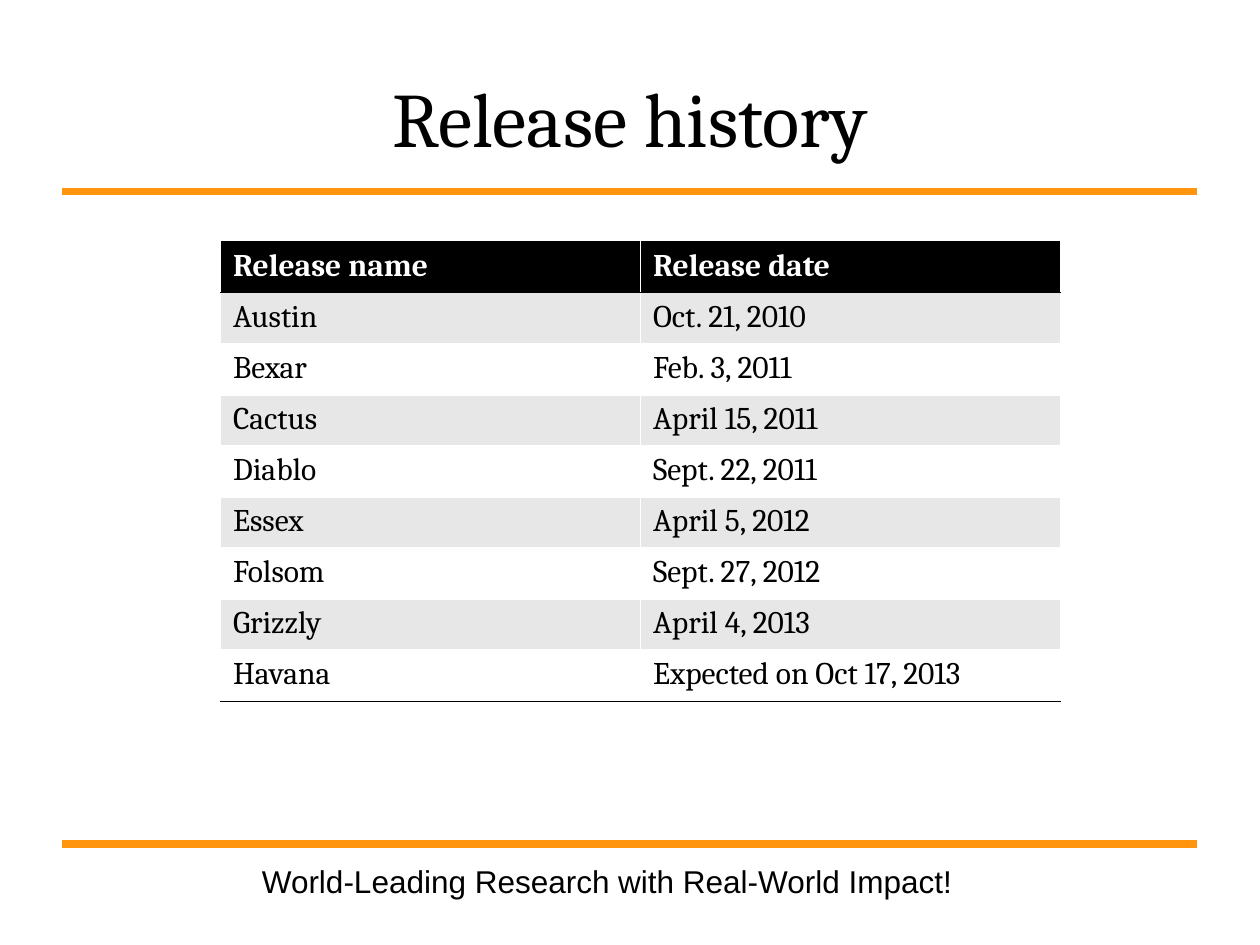
from dataclasses import dataclass

from lxml.etree import SubElement
from pptx import Presentation
from pptx.dml.color import RGBColor
from pptx.enum.shapes import MSO_CONNECTOR
from pptx.enum.text import MSO_ANCHOR, PP_ALIGN
from pptx.oxml import parse_xml
from pptx.oxml.ns import nsdecls, qn
from pptx.util import Pt

BLACK, WHITE, GREY, ORANGE = "000000", "FFFFFF", "E7E7E7", "FF950E"


@dataclass
class Release:
    name: str
    date: str


@dataclass
class Box:
    left: float
    top: float
    width: float
    height: float


RULES = [109.4, 482.4]
HEAD = Release("Release name", "Release date")
ROWS = [
    Release("Austin", "Oct. 21, 2010"),
    Release("Bexar", "Feb. 3, 2011"),
    Release("Cactus", "April 15, 2011"),
    Release("Diablo", "Sept. 22, 2011"),
    Release("Essex", "April 5, 2012"),
    Release("Folsom", "Sept. 27, 2012"),
    Release("Grizzly", "April 4, 2013"),
    Release("Havana", "Expected on Oct 17, 2013"),
]


def color(code: str) -> RGBColor:
    return RGBColor.from_string(code)


def write(frame, text: str, *, size=18, font="Cambria", ink=BLACK,
          bold=False, align=PP_ALIGN.LEFT) -> None:
    para = frame.paragraphs[0]
    para.alignment = align
    run = para.add_run()
    run.text = text
    run.font.size = Pt(size)
    run.font.name = font
    run.font.bold = bold
    run.font.color.rgb = color(ink)


def add_text(slide, box: Box, text: str, anchor=MSO_ANCHOR.TOP, **style) -> None:
    shape = slide.shapes.add_textbox(
        Pt(box.left), Pt(box.top), Pt(box.width), Pt(box.height))
    frame = shape.text_frame
    frame.word_wrap = True
    frame.vertical_anchor = anchor
    write(frame, text, **style)


def add_rule(slide, top: float) -> None:
    line = slide.shapes.add_connector(
        MSO_CONNECTOR.STRAIGHT, Pt(35.4), Pt(top), Pt(684), Pt(top))
    line.line.color.rgb = color(ORANGE)
    line.line.width = Pt(4.31)
    SubElement(line._element.spPr, qn("a:effectLst"))


def add_edge(cell, side: str) -> None:
    edge = parse_xml(
        f'<a:ln{side} {nsdecls("a")} w="{Pt(0.96)}"><a:solidFill>'
        f'<a:srgbClr val="{BLACK}"/></a:solidFill></a:ln{side}>')
    cell._tc.get_or_add_tcPr().insert(0, edge)


def fill_cell(cell, text: str, fill: str, edges: str, **style) -> None:
    cell.margin_left = cell.margin_right = Pt(7.2)
    cell.margin_top = cell.margin_bottom = Pt(3.6)
    cell.fill.solid()
    cell.fill.fore_color.rgb = color(fill)
    for side in edges:
        add_edge(cell, side)
    write(cell.text_frame, text, **style)


def add_grid(slide, box: Box, rows: list[Release]) -> None:
    count = len(rows) + 1
    grid = slide.shapes.add_table(
        count, 2, Pt(box.left), Pt(box.top), Pt(box.width), Pt(box.height)).table
    grid.first_row = grid.horz_banding = False
    for col in grid.columns:
        col.width = Pt(box.width / 2)
    for num, item in enumerate([HEAD, *rows]):
        grid.rows[num].height = Pt(box.height / count)
        top = num == 0
        fill = BLACK if top else GREY if num % 2 else WHITE
        edges = "BT" if top else "T" if num == 1 else "B" if num == count - 1 else ""
        for col, text in enumerate((item.name, item.date)):
            fill_cell(grid.cell(num, col), text, fill, edges,
                      ink=WHITE if top else BLACK, bold=top)


def main() -> None:
    deck = Presentation()
    deck.slide_width, deck.slide_height = Pt(720), Pt(540)
    slide = deck.slides.add_slide(deck.slide_layouts[6])
    for top in RULES:
        add_rule(slide, top)
    add_text(slide, Box(142.6, 488.9, 427.7, 50.4),
             "World-Leading Research with Real-World Impact!", font="Arial")
    add_text(slide, Box(36, 21.6, 648, 90), "Release history",
             MSO_ANCHOR.MIDDLE, size=44, align=PP_ALIGN.CENTER)
    add_grid(slide, Box(126, 138, 480, 262.8), ROWS)
    deck.save("out.pptx")


if __name__ == "__main__":
    main()
